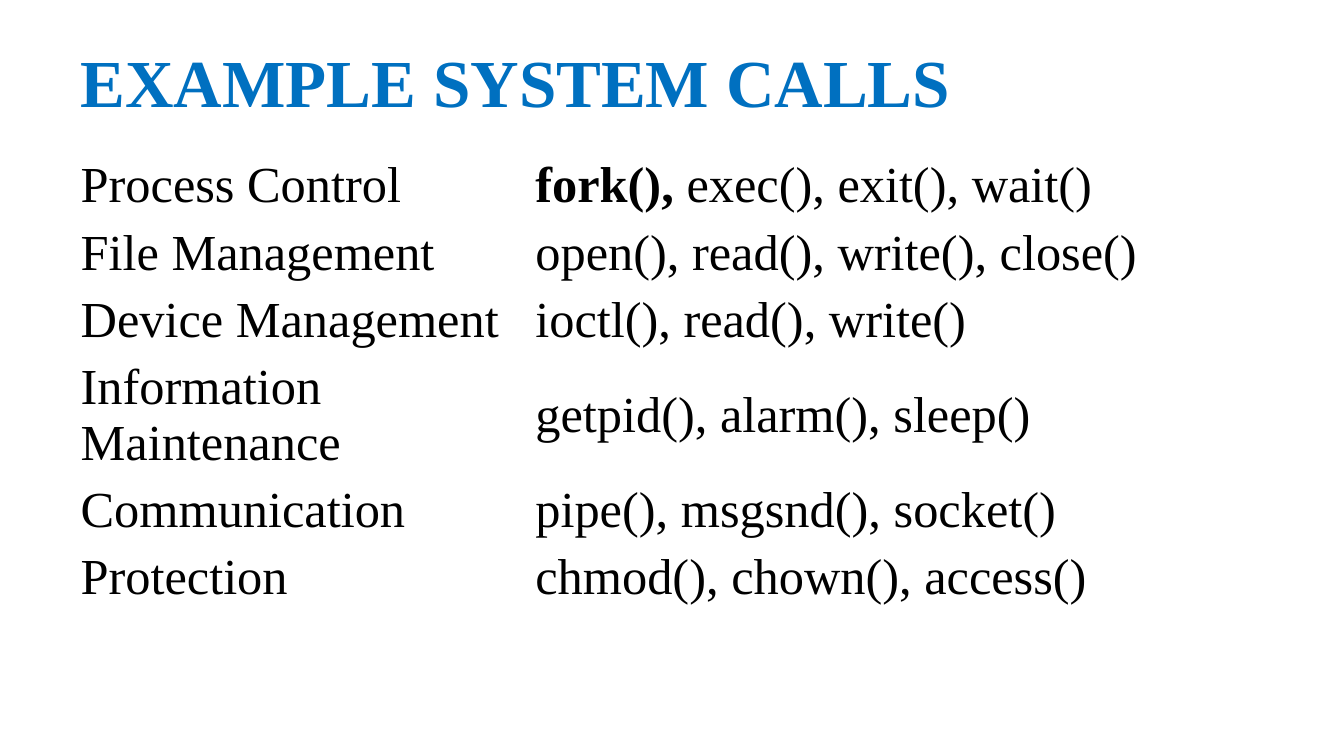
"""Build a slide that lists example system calls by category."""
import pptx
import pptx.dml.color
import pptx.enum.shapes
import pptx.enum.text
import pptx.util

COLORS = {"title": "0070C0", "text": "000000", "ring": "FFFFFF"}
FONT = "Times New Roman"
LEFT = 0.7
COLUMN_WIDTHS = [4.51, 6.93]
SPACER_HEIGHT = 0.66
ROW_HEIGHT = 0.67
SYSTEM_CALLS = [
    ("Process Control", "fork(), ", "exec(), exit(), wait()"),
    ("File Management", "", "open(), read(), write(), close()"),
    ("Device Management", "", "ioctl(), read(), write()"),
    ("Information Maintenance", "", "getpid(), alarm(), sleep()"),
    ("Communication", "", "pipe(), msgsnd(), socket()"),
    ("Protection", "", "chmod(), chown(), access()"),
]


def add_run(paragraph, text, size, color, bold=False):
    run = paragraph.add_run()
    run.text = text
    run.font.name = FONT
    run.font.size = pptx.util.Pt(size)
    run.font.bold = bold
    run.font.color.rgb = pptx.dml.color.RGBColor.from_string(COLORS[color])


presentation = pptx.Presentation()
presentation.slide_width = pptx.util.Inches(13.33)
presentation.slide_height = pptx.util.Inches(7.5)
slide = presentation.slides.add_slide(presentation.slide_layouts.get_by_name("Title Only"))

ring = slide.shapes.add_shape(
    pptx.enum.shapes.MSO_SHAPE.OVAL,
    pptx.util.Inches(12.5), pptx.util.Inches(6.84),
    pptx.util.Inches(0.44), pptx.util.Inches(0.44),
)
ring.shadow.inherit = False
ring.fill.background()
ring.line.color.rgb = pptx.dml.color.RGBColor.from_string(COLORS["ring"])
ring.line.width = pptx.util.Pt(1)

row_heights = [SPACER_HEIGHT] + [ROW_HEIGHT] * len(SYSTEM_CALLS)
table = slide.shapes.add_table(
    len(row_heights), len(COLUMN_WIDTHS),
    pptx.util.Inches(LEFT), pptx.util.Inches(0.85),
    pptx.util.Inches(sum(COLUMN_WIDTHS)), pptx.util.Inches(sum(row_heights)),
).table
table.first_row = False
table.horz_banding = False
for column, width in zip(table.columns, COLUMN_WIDTHS):
    column.width = pptx.util.Inches(width)
for row, height in zip(table.rows, row_heights):
    row.height = pptx.util.Inches(height)
for cell in table.iter_cells():
    cell.fill.background()
    cell.vertical_anchor = pptx.enum.text.MSO_ANCHOR.MIDDLE

for row_index, (category, highlighted, calls) in enumerate(SYSTEM_CALLS, start=1):
    category_paragraph, calls_paragraph = (
        table.cell(row_index, column_index).text_frame.paragraphs[0] for column_index in range(2)
    )
    add_run(category_paragraph, category, 36, "text")
    if highlighted:
        add_run(calls_paragraph, highlighted, 36, "text", bold=True)
    add_run(calls_paragraph, calls, 36, "text")

title = slide.shapes.title
title.element.getparent().append(title.element)
title.left, title.top = pptx.util.Inches(LEFT), pptx.util.Inches(0.34)
title.width, title.height = pptx.util.Inches(10.07), pptx.util.Inches(1.03)
title.text_frame.auto_size = pptx.enum.text.MSO_AUTO_SIZE.NONE
title.text_frame.vertical_anchor = pptx.enum.text.MSO_ANCHOR.MIDDLE
heading = title.text_frame.paragraphs[0]
heading.alignment = pptx.enum.text.PP_ALIGN.LEFT
heading.line_spacing = 0.9
add_run(heading, "EXAMPLE SYSTEM CALLS", 48, "title", bold=True)

presentation.save("out.pptx")
